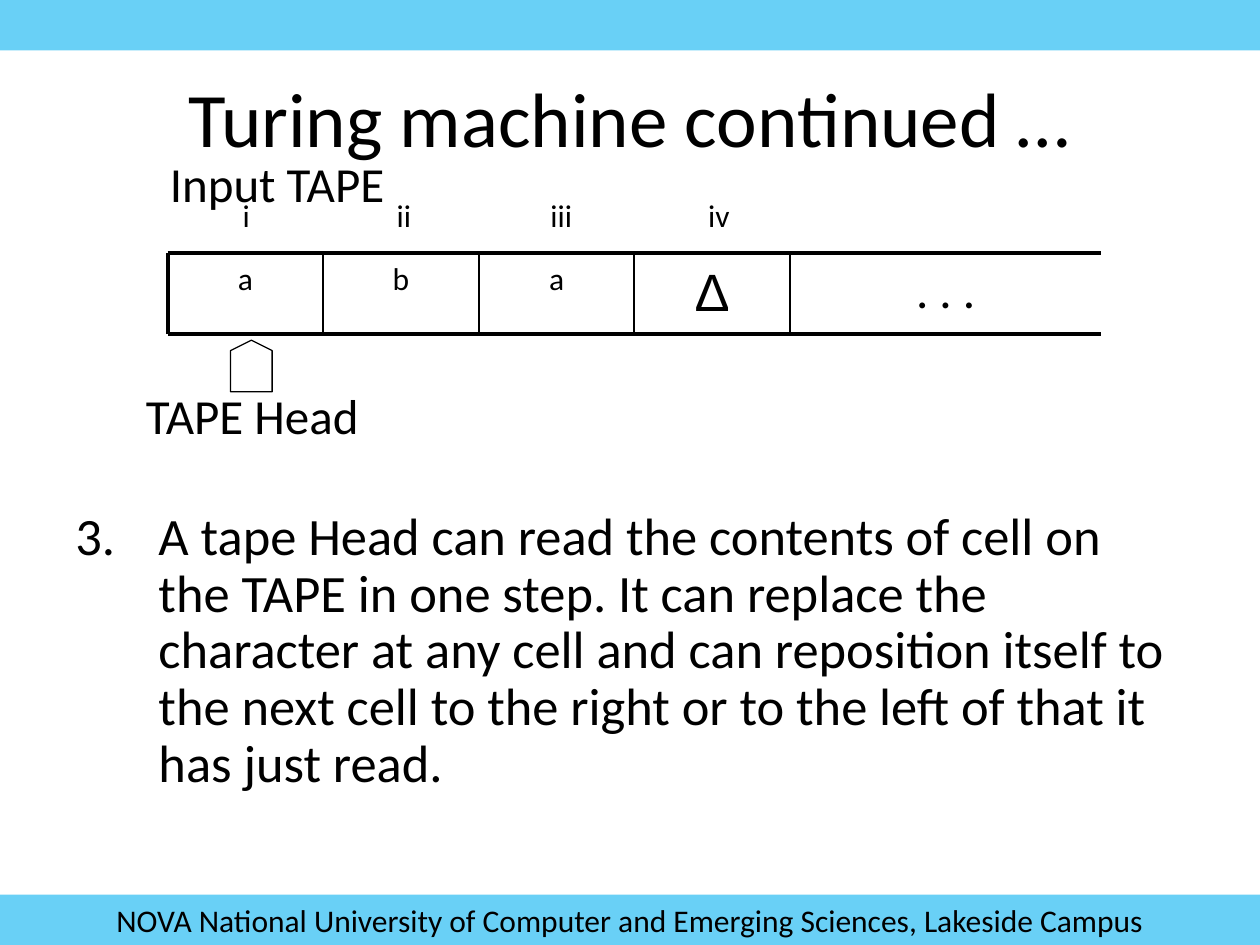
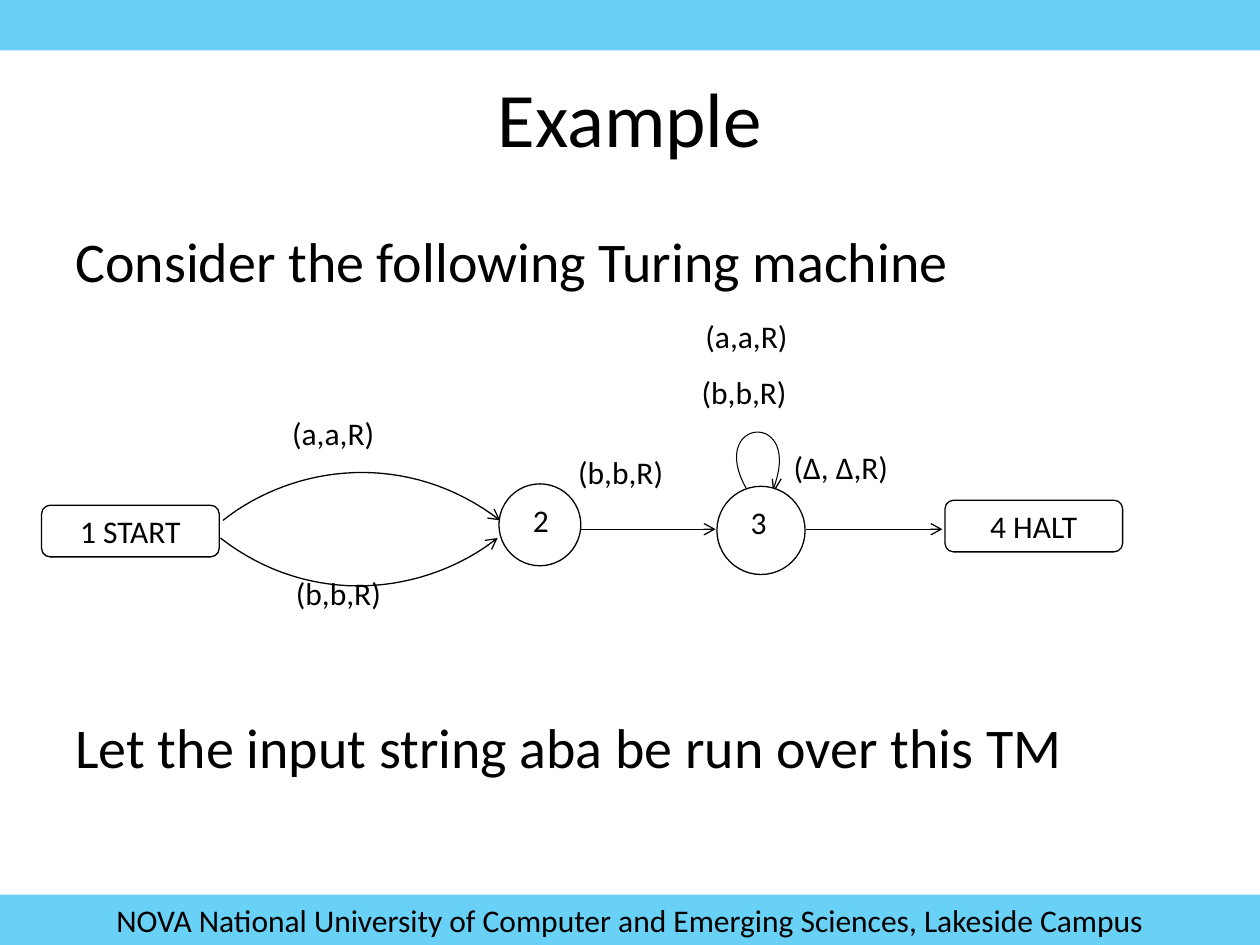
from lxml import etree
from pptx import Presentation
from pptx.dml.color import RGBColor
from pptx.enum.shapes import MSO_CONNECTOR as Connector, MSO_SHAPE as Preset
from pptx.enum.text import MSO_ANCHOR as Anchor, PP_ALIGN as Align
from pptx.oxml.ns import qn
from pptx.util import Inches, Pt

COLORS = {"band": "00B0F0", "ink": "000000", "paper": "FFFFFF"}
FOOTER = "NOVA National University of Computer and Emerging Sciences, Lakeside Campus"


def add_element(parent, tag, **attributes):
    return etree.SubElement(parent, qn(tag), **attributes)


class Deck:
    font = "Calibri"
    label_size = 18

    def __init__(self):
        self.presentation = Presentation()
        self.presentation.slide_width = Inches(10)
        self.presentation.slide_height = Inches(7.5)
        self.slide = None

    def color(self, name):
        return RGBColor.from_string(COLORS[name])

    def new_slide(self, title):
        self.slide = self.presentation.slides.add_slide(self.presentation.slide_layouts[6])
        self.band(0)
        self.set_text(self.band(7.1), FOOTER, align=Align.CENTER)
        self.text(title, 0.5, 0.3, 9, 1.25, size=44, align=Align.CENTER, anchor=Anchor.MIDDLE)

    def band(self, top):
        band = self.shape(Preset.RECTANGLE, 0, top, 10, 0.4, fill="band", outline=None)
        fill_color = band._element.spPr.find(qn("a:solidFill"))[0]
        add_element(fill_color, "a:alpha", val="59000")
        return band

    def set_text(self, shape, *lines, size=label_size, font=font, align=Align.LEFT,
                 anchor=Anchor.TOP, wrap=True):
        frame = shape.text_frame
        frame.text = "\n".join(lines)
        frame.word_wrap = wrap
        frame.vertical_anchor = anchor
        for paragraph in frame.paragraphs:
            paragraph.alignment = align
            for run in paragraph.runs:
                run.font.size = Pt(size)
                run.font.name = font
                run.font.color.rgb = self.color("ink")
        return frame

    def text(self, lines, left, top, width, height, **style):
        box = self.slide.shapes.add_textbox(*map(Inches, (left, top, width, height)))
        lines = [lines] if isinstance(lines, str) else lines
        return self.set_text(box, *lines, **style)

    def numbered(self, text, start, left, top, width, height, size):
        frame = self.text(text, left, top, width, height, size=size)
        paragraph = frame.paragraphs[0]
        paragraph.line_spacing = 0.9
        properties = paragraph._p.get_or_add_pPr()
        properties.set("marL", str(Inches(0.66)))
        properties.set("indent", str(Inches(-0.66)))
        add_element(properties, "a:buFont", typeface=self.font)
        add_element(properties, "a:buAutoNum", type="arabicPeriod", startAt=str(start))

    def style_outline(self, line, weight, arrow=False):
        line.color.rgb = self.color("ink")
        line.width = Pt(weight)
        if arrow:
            add_element(line._get_or_add_ln(), "a:tailEnd", type="arrow")

    def shape(self, preset, left, top, width, height, fill=None, outline=0.75):
        shape = self.slide.shapes.add_shape(preset, *map(Inches, (left, top, width, height)))
        shape.shadow.inherit = False
        if fill:
            shape.fill.solid()
            shape.fill.fore_color.rgb = self.color(fill)
        else:
            shape.fill.background()
        if outline:
            self.style_outline(shape.line, outline)
        else:
            shape.line.fill.background()
        return shape

    def line(self, start, end, weight=0.75, arrow=False):
        connector = self.slide.shapes.add_connector(
            Connector.STRAIGHT, *map(Inches, (*start, *end)))
        self.style_outline(connector.line, weight, arrow)
        add_element(connector._element.spPr, "a:effectLst")

    def curve(self, *controls, weight=0.75, arrow=False, steps=32):
        def point(t):
            weights = ((1 - t) ** 3, 3 * t * (1 - t) ** 2, 3 * t * t * (1 - t), t ** 3)
            return tuple(Inches(sum(w * control[axis] for w, control in zip(weights, controls)))
                         for axis in (0, 1))

        points = [point(step / steps) for step in range(steps + 1)]
        builder = self.slide.shapes.build_freeform(*points[0])
        builder.add_line_segments(points[1:], close=False)
        curve = builder.convert_to_shape()
        curve.shadow.inherit = False
        curve.fill.background()
        self.style_outline(curve.line, weight, arrow)

    def state_box(self, name, left, top):
        box = self.shape(Preset.ROUNDED_RECTANGLE, left, top, 1.41, 0.41)
        self.set_text(box, name, align=Align.CENTER, anchor=Anchor.MIDDLE, wrap=False)


def build_tape_slide(deck):
    deck.new_slide("Turing machine continued …")
    deck.numbered(
        "A tape Head can read the contents of cell on the TAPE in one step. It can replace the "
        "character at any cell and can reposition itself to the next cell to the right or to "
        "the left of that it has just read.", 3, 0.5, 4, 9, 2.7, size=30)

    left, right, top, bottom, cell = 1.33, 8.74, 2.01, 2.65, 1.235
    symbols = [("a", 18, "Calibri", 1), ("b", 18, "Calibri", 1), ("a", 18, "Calibri", 1),
               ("∆", 30, "Arial", 1), (". . .", 28, "Calibri", 2)]
    for index, (symbol, size, font, span) in enumerate(symbols):
        x = left + index * cell
        deck.text(symbol, x, top, span * cell, 0.63, size=size, font=font, align=Align.CENTER)
        deck.line((x, top), (x, bottom), weight=1 if index else 2.25)
    for y in (top, bottom):
        deck.line((left, y), (right, y), weight=2.25)
    for index, numeral in enumerate(["i", "ii", "iii", "iv"]):
        deck.text(numeral, left + index * 1.25, 1.51, 1.25, 0.56, align=Align.CENTER)

    tape_head = deck.shape(Preset.FLOWCHART_OFFPAGE_CONNECTOR, 1.83, 2.7, 0.33, 0.41)
    tape_head.rotation = 180
    deck.text("TAPE Head", 1.06, 3.01, 2.33, 0.57, size=28)
    deck.text("Input TAPE", 1.25, 1.17, 2.33, 0.57, size=28)


def build_example_slide(deck):
    deck.new_slide("Example")
    body = deck.text(["Consider the following Turing machine",
                      "Let the input string aba be run over this TM"],
                     0.5, 1.75, 9, 4.95, size=32)
    body.paragraphs[1].space_before = Pt(239)

    deck.shape(Preset.OVAL, 3.96, 3.84, 0.65, 0.65, fill="paper")
    deck.curve((5.93, 3.89), (5.59, 3.31), (6.4, 3.24), (6.13, 3.9), weight=0.6)
    for barb in ((6.2, 3.8), (6.13, 3.8)):
        deck.line(barb, (6.14, 3.9))
    deck.curve((1.75, 4.27), (2.47, 4.83), (3.38, 4.72), (3.95, 4.27), arrow=True)
    deck.curve((1.77, 4.13), (2.34, 3.68), (3.24, 3.57), (3.97, 4.13), arrow=True)
    deck.shape(Preset.OVAL, 5.69, 3.86, 0.7, 0.7, fill="paper")
    deck.state_box("1 START", 0.33, 4.01)
    deck.state_box("4 HALT", 7.5, 3.97)
    for x in (4.6, 6.4):
        deck.line((x, 4.2), (x + 1.08, 4.2), arrow=True)

    for state, left, top in [("2", 4.13, 3.93), ("3", 5.86, 3.94)]:
        deck.text(state, left, top, 0.45, 0.4)
    transitions = [("(a,a,R)", 2.22, 3.24), ("(b,b,R)", 2.25, 4.51), ("(b,b,R)", 4.49, 3.55),
                   ("(b,b,R)", 5.47, 2.91), ("(a,a,R)", 5.5, 2.47), ("(∆, ∆,R)", 6.2, 3.51)]
    for transition, left, top in transitions:
        deck.text(transition, left, top, 1.71, 0.46)


def main():
    deck = Deck()
    build_tape_slide(deck)
    build_example_slide(deck)
    deck.presentation.save("out.pptx")


if __name__ == "__main__":
    main()
